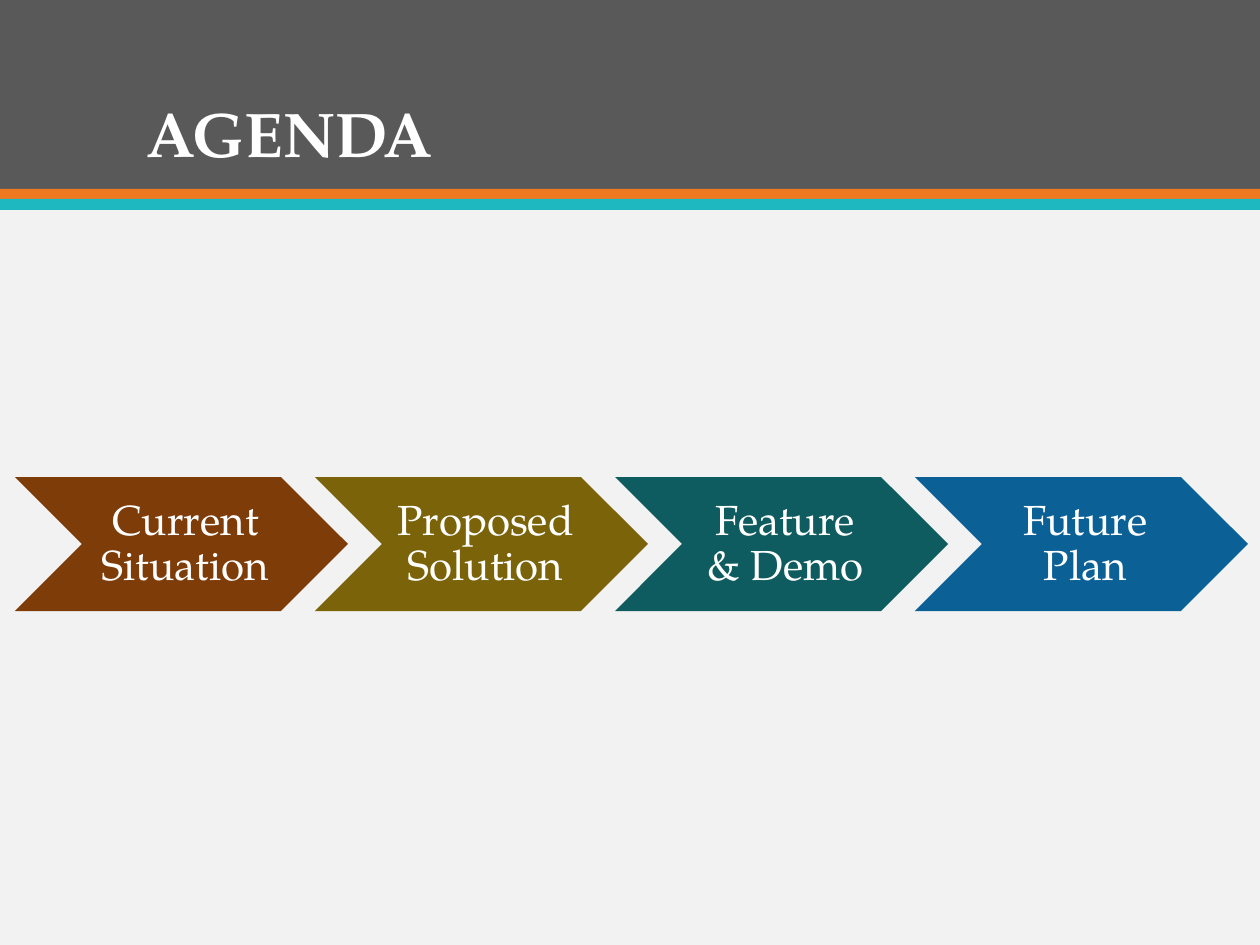
from pptx import Presentation
from pptx.dml.color import RGBColor
from pptx.enum.shapes import MSO_SHAPE
from pptx.enum.text import MSO_ANCHOR, MSO_AUTO_SIZE, PP_ALIGN
from pptx.util import Emu, Pt

EMU_PER_PX = 914400 / 126
FONT = "TeX Gyre Pagella"
WHITE = "FFFFFF"

# Header bands: top, height, colour
BANDS = [(0, 189, "595959"), (189, 11, "EF7920"), (199, 11, "1EB8C1")]

# Agenda steps: label, colour
STEPS = [
    ("Current Situation", "7E3C09"),
    ("Proposed Solution", "7B6309"),
    ("Feature & Demo", "0F5C60"),
    ("Future Plan", "0B6196"),
]
STEP_LEFT, STEP_TOP, STEP_PITCH = 15, 477, 300
STEP_WIDTH, STEP_HEIGHT = 333, 134
NOTCH = STEP_HEIGHT // 2

TITLE_FRAME = {"vertical_anchor": MSO_ANCHOR.BOTTOM}
LABEL_FRAME = {
    "vertical_anchor": MSO_ANCHOR.MIDDLE,
    "margin_left": 13,
    "margin_top": 5,
    "margin_right": 5,
    "margin_bottom": 5,
}
TITLE_FONT = {"name": FONT, "size": Pt(36), "bold": True}
LABEL_FONT = {"name": FONT, "size": Pt(24), "bold": False}


def px(length):
    return Emu(round(length * EMU_PER_PX))


def box(*lengths):
    return [px(length) for length in lengths]


def paint(fill, colour):
    fill.solid()
    fill.fore_color.rgb = RGBColor.from_string(colour)


def apply(target, values):
    for name, value in values.items():
        setattr(target, name, px(value) if name.startswith("margin") else value)


def add_block(slide, preset, bounds, colour):
    block = slide.shapes.add_shape(preset, *box(*bounds))
    block.shadow.inherit = False
    paint(block.fill, colour)
    block.line.fill.background()


def write(frame, wording, frame_format, font_format, align):
    frame.word_wrap = True
    frame.auto_size = MSO_AUTO_SIZE.NONE
    apply(frame, frame_format)
    paragraph = frame.paragraphs[0]
    paragraph.alignment = align
    paragraph.line_spacing = 0.9
    run = paragraph.add_run()
    run.text = wording
    apply(run.font, font_format)
    paint(run.font.fill, WHITE)


def add_title(slide, wording):
    title = slide.shapes.title
    title.left, title.top, title.width, title.height = box(134, 35, 993, 142)
    write(title.text_frame, wording, TITLE_FRAME, TITLE_FONT, PP_ALIGN.LEFT)
    # Bring the title in front of the header bands
    slide.shapes._spTree.append(title._element)


def add_step(slide, left, label, colour):
    add_block(slide, MSO_SHAPE.CHEVRON,
              (left, STEP_TOP, STEP_WIDTH, STEP_HEIGHT), colour)
    caption = slide.shapes.add_textbox(
        *box(left + NOTCH, STEP_TOP, STEP_WIDTH - 2 * NOTCH, STEP_HEIGHT))
    write(caption.text_frame, label, LABEL_FRAME, LABEL_FONT, PP_ALIGN.CENTER)


def main():
    deck = Presentation()
    deck.slide_width, deck.slide_height = box(1260, 945)
    slide = deck.slides.add_slide(deck.slide_layouts[5])
    paint(slide.background.fill, "F2F2F2")

    # Header
    for top, height, colour in BANDS:
        add_block(slide, MSO_SHAPE.RECTANGLE, (0, top, 1260, height), colour)
    add_title(slide, "AGENDA")

    # Agenda steps
    for index, (label, colour) in enumerate(STEPS):
        add_step(slide, STEP_LEFT + index * STEP_PITCH, label, colour)

    deck.save("out.pptx")


if __name__ == "__main__":
    main()
